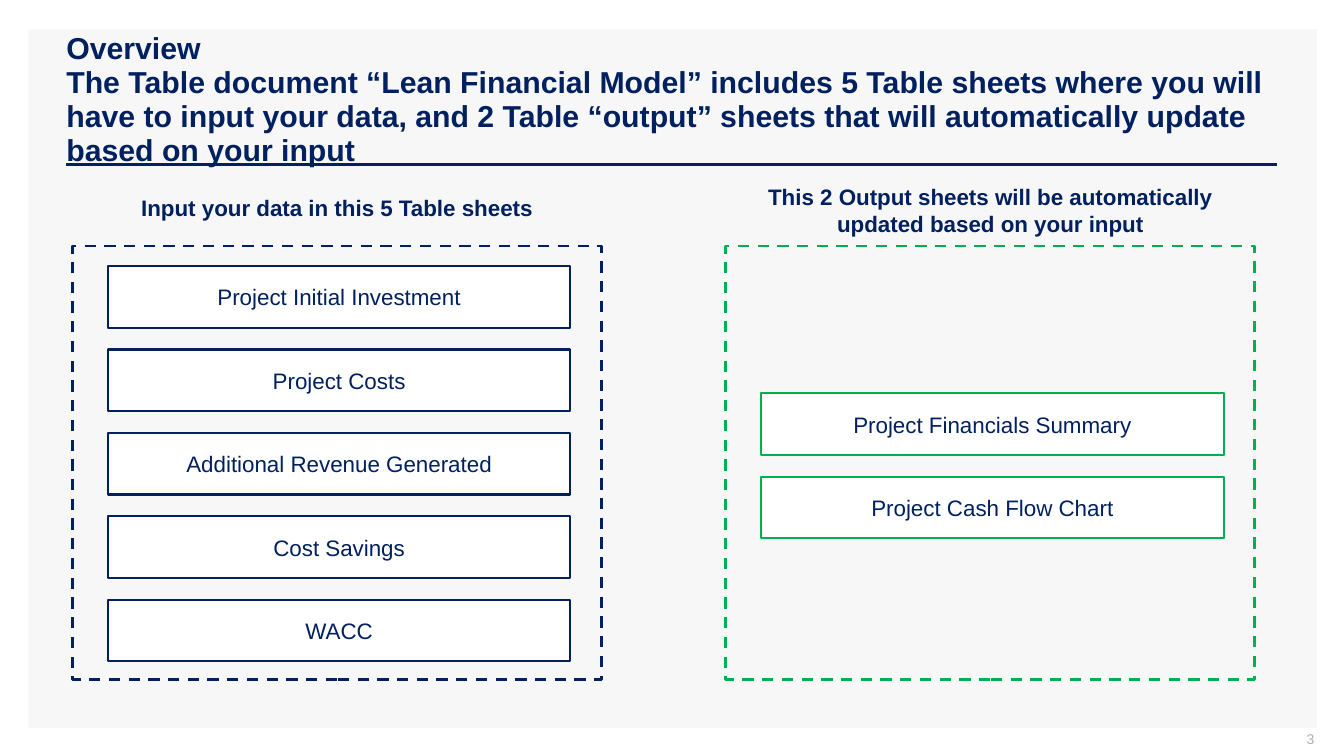
from dataclasses import dataclass

from pptx import Presentation
from pptx.dml.color import RGBColor
from pptx.enum.dml import MSO_LINE
from pptx.enum.shapes import MSO_CONNECTOR, MSO_SHAPE
from pptx.enum.text import MSO_ANCHOR, PP_ALIGN
from pptx.oxml.ns import qn
from pptx.util import Pt


@dataclass
class Theme:
    font: str = "Arial"
    navy: str = "002060"
    green: str = "00B050"
    white: str = "FFFFFF"
    pale: str = "F7F7F7"
    gray: str = "ADAFBB"
    title: float = 21.6
    body: float = 16
    small: float = 10


class Board:
    def __init__(self, slide, theme):
        self.slide, self.theme = slide, theme

    def letter(self, shape, text, size, color, bold=False,
               align=PP_ALIGN.CENTER, anchor=MSO_ANCHOR.MIDDLE, space=None, **insets):
        frame = shape.text_frame
        frame_set = {"word_wrap": True, "vertical_anchor": anchor}
        frame_set.update({f"margin_{side}": Pt(gap) for side, gap in insets.items()})
        para = frame.paragraphs[0]
        para.text = text
        font_set = {"name": self.theme.font, "size": Pt(size), "bold": bold}
        for part, values in (
            (frame, frame_set),
            (para, {"alignment": align, "line_spacing": space}),
        ):
            for key, value in values.items():
                setattr(part, key, value)
        for run in para.runs:
            for key, value in font_set.items():
                setattr(run.font, key, value)
            run.font.color.rgb = RGBColor.from_string(color)

    def label(self, place, text, size, color, **style):
        box = self.slide.shapes.add_textbox(*map(Pt, place))
        self.letter(box, text, size, color, **style)

    def rect(self, place, fill=None, line=None, width=1.5, dash=None):
        shape = self.slide.shapes.add_shape(MSO_SHAPE.RECTANGLE, *map(Pt, place))
        shape.shadow.inherit = False
        if fill:
            shape.fill.solid()
            shape.fill.fore_color.rgb = RGBColor.from_string(fill)
        else:
            shape.fill.background()
        if line:
            shape.line.color.rgb = RGBColor.from_string(line)
            shape.line.width = Pt(width)
            shape.line.dash_style = dash
        else:
            shape.line.fill.background()
        return shape

    def rule(self, left, right, top, color, width=2):
        line = self.slide.shapes.add_connector(
            MSO_CONNECTOR.STRAIGHT, Pt(left), Pt(top), Pt(right), Pt(top))
        line.line.color.rgb = RGBColor.from_string(color)
        line.line.width = Pt(width)
        props = line.element.spPr
        props.append(props.makeelement(qn("a:effectLst"), {}))

    def panel(self, left, head, head_top, first, color, names):
        theme = self.theme
        # Dashed frame with its heading
        self.rect((left, 175.7, 378, 309.6), line=color, width=2, dash=MSO_LINE.DASH)
        self.label((left, head_top, 378, 27), head, theme.body, theme.navy,
                   bold=True, anchor=MSO_ANCHOR.TOP)
        # Evenly spaced sheet boxes
        for row, name in enumerate(names):
            box = self.rect((left + 25.2, first + row * 59.6, 330.5, 44),
                            fill=theme.white, line=color)
            self.letter(box, name, theme.body, theme.navy)


def main():
    deck = Presentation()
    deck.slide_width, deck.slide_height = Pt(960), Pt(540)
    theme = Theme()
    board = Board(deck.slides.add_slide(deck.slide_layouts[6]), theme)

    # Backdrop, title and rule
    board.rect((20.2, 20.9, 920.2, 499), fill=theme.pale)
    board.rule(47.5, 912.2, 117.4, theme.navy)
    board.label(
        (40.3, 28.8, 872, 85.7),
        "Overview\vThe Table document “Lean Financial Model” includes 5 Table sheets "
        "where you will have to input your data, and 2 Table “output” sheets that "
        "will automatically update based on your input",
        theme.title, theme.navy, bold=True, align=PP_ALIGN.LEFT, space=0.94)

    # Input and output panels
    board.panel(51.8, "Input your data in this 5 Table sheets", 135.4, 190.1, theme.navy,
                ["Project Initial Investment", "Project Costs",
                 "Additional Revenue Generated", "Cost Savings", "WACC"])
    board.panel(518.4, "This 2 Output sheets will be automatically updated based on your input",
                127.4, 281, theme.green,
                ["Project Financials Summary", "Project Cash Flow Chart"])

    # Page number
    board.label((722.9, 522, 216, 15.1), "3", theme.small, theme.gray,
                align=PP_ALIGN.RIGHT, left=7.2, top=0, right=0, bottom=3.6)
    deck.save("out.pptx")


if __name__ == "__main__":
    main()
